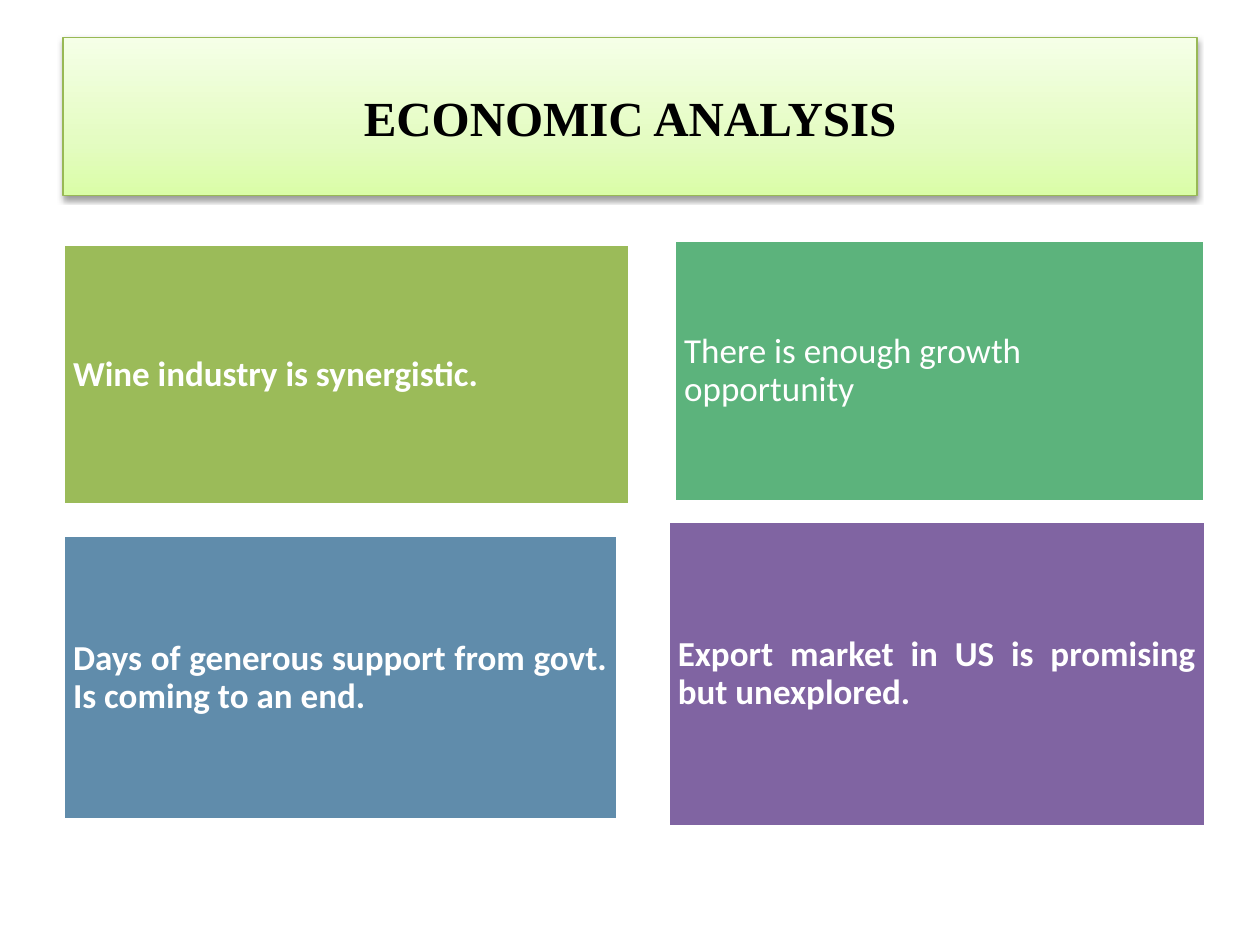
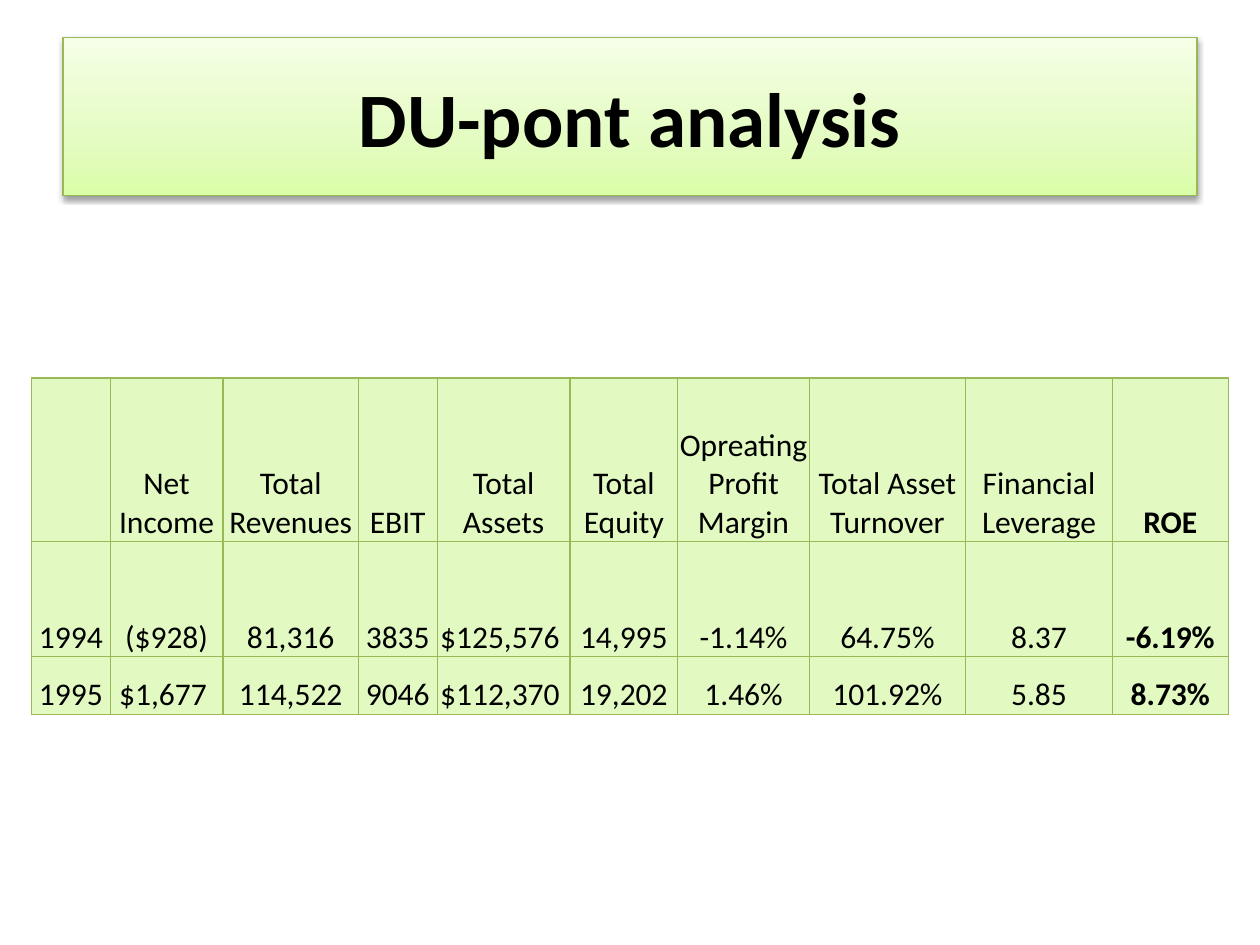
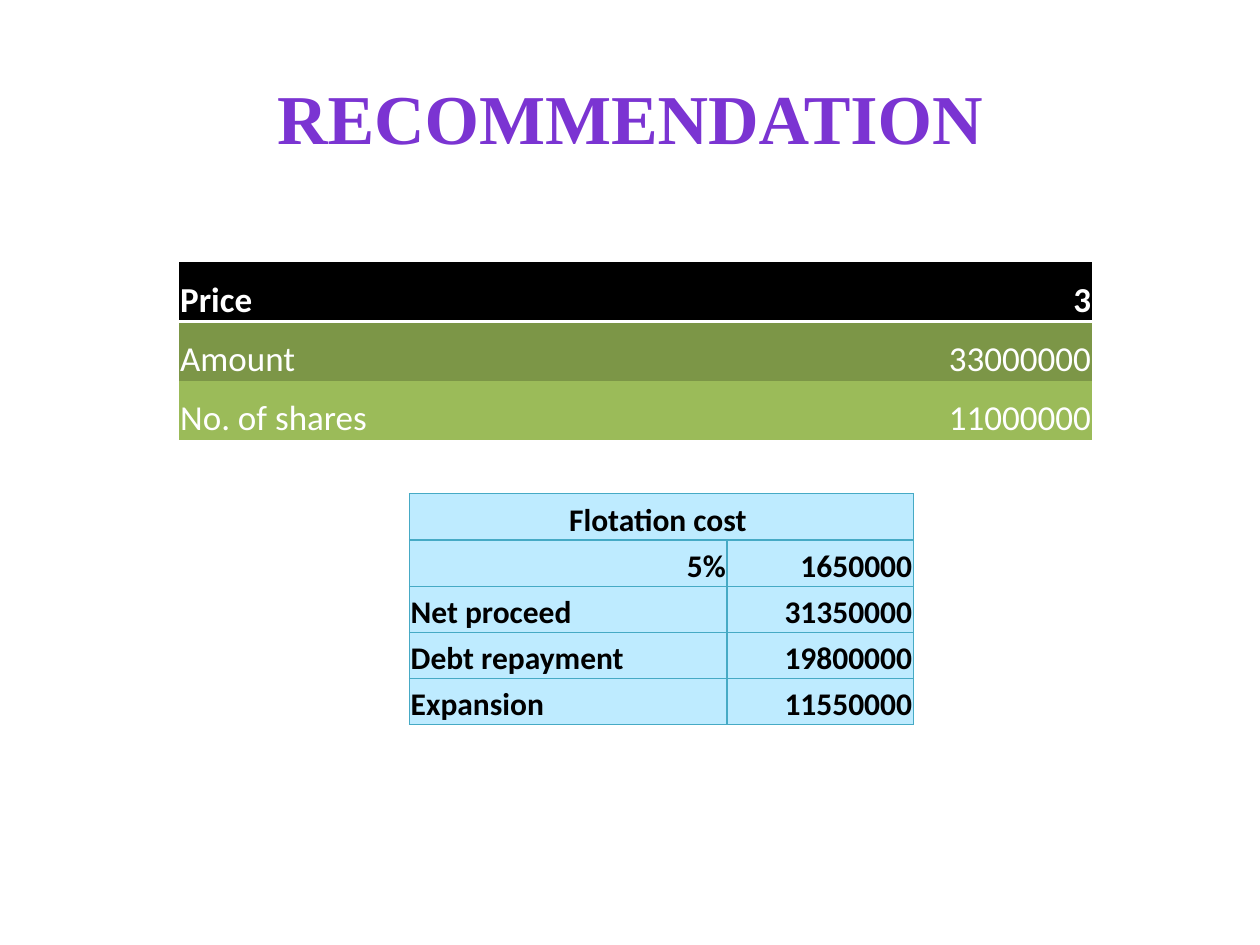
from dataclasses import dataclass
from typing import Any, Optional

from pptx import Presentation
from pptx.dml.color import RGBColor
from pptx.enum.shapes import MSO_SHAPE as Shape
from pptx.enum.text import MSO_ANCHOR as Anchor, MSO_AUTO_SIZE as Auto, PP_ALIGN as Align
from pptx.oxml import parse_xml
from pptx.oxml.ns import nsdecls, qn
from pptx.util import Emu, Inches, Pt

# Colours
BLACK = RGBColor(0x00, 0x00, 0x00)
WHITE = RGBColor(0xFF, 0xFF, 0xFF)
GREEN = RGBColor(0x9B, 0xBB, 0x59)
OLIVE = RGBColor(0x7C, 0x96, 0x47)
MINT = RGBColor(0x5C, 0xB3, 0x7C)
STEEL = RGBColor(0x60, 0x8C, 0xAB)
PLUM = RGBColor(0x80, 0x64, 0xA2)
VIOLET = RGBColor(0x7B, 0x34, 0xD2)
EDGE = RGBColor(0x98, 0xB9, 0x55)
LIME = RGBColor(0xE2, 0xFA, 0xC2)
TEAL = RGBColor(0x46, 0xAA, 0xC5)
SKY = RGBColor(0xBE, 0xEB, 0xFF)
BAND = ((0, "DAFDA7"), (35, "E4FCC2"), (100, "F5FFE7"))

SANS, SERIF = "Calibri", "Times New Roman"
PLAIN = "{2D5ABB26-0587-4C30-8999-92F81FD0307C}"  # table style without fills or lines
NS = nsdecls("a")

# The slide is a grid of 100 columns by 75 rows
WIDE, HIGH = Inches(10), Inches(7.5)
COLS, ROWS = 100, 75


def across(n: float) -> Emu:
    return Emu(round(WIDE * n / COLS))


def down(n: float) -> Emu:
    return Emu(round(HIGH * n / ROWS))


@dataclass
class Box:
    col: float
    row: float
    wide: float
    high: float

    def place(self) -> tuple[Emu, Emu, Emu, Emu]:
        return across(self.col), down(self.row), across(self.wide), down(self.high)


@dataclass
class Panel:
    box: Box
    text: str
    fill: RGBColor
    bold: bool = True
    align: Align = Align.LEFT


@dataclass
class Line:
    color: RGBColor
    width: float
    sides: str


@dataclass
class Look:
    size: int
    color: RGBColor
    fill: RGBColor
    bold: bool = False
    align: Align = Align.LEFT
    line: Optional[Line] = None


HEAD = Box(5, 3, 90, 12.5)


def assign(item: Any, form: dict[str, Any]) -> None:
    for name, value in form.items():
        setattr(item, name, value)


def write(frame: Any, text: str, align: Align, size: int, color: RGBColor,
          bold: bool, face: str = SANS) -> Any:
    para = frame.paragraphs[0]
    para.alignment = align
    run = para.add_run()
    run.text = text
    assign(run.font, {"name": face, "size": Pt(size), "bold": bold})
    run.font.color.rgb = color
    return para


def add_title(deck: Any, text: str, size: int, face: str,
              color: RGBColor = BLACK, band: bool = True) -> Any:
    """Add a slide with its title, on a shaded band if wanted."""
    slide = deck.slides.add_slide(deck.slide_layouts[5])
    title = slide.shapes.title
    assign(title, dict(zip(("left", "top", "width", "height"), HEAD.place())))
    assign(title.text_frame, {"vertical_anchor": Anchor.MIDDLE, "auto_size": Auto.NONE})
    write(title.text_frame, text, Align.CENTER, size, color, True, face)
    if band:
        title.fill.gradient()
        title.fill.gradient_angle = 90
        props = title.element.spPr
        stops = "".join(f'<a:gs pos="{at * 1000}"><a:srgbClr val="{rgb}"/></a:gs>'
                        for at, rgb in BAND)
        old = props.find(".//" + qn("a:gsLst"))
        old.getparent().replace(old, parse_xml(f"<a:gsLst {NS}>{stops}</a:gsLst>"))
        title.line.color.rgb = EDGE
        title.line.width = Pt(0.75)
        props.append(parse_xml(
            f'<a:effectLst {NS}><a:outerShdw blurRad="40000" dist="20000" dir="5400000" '
            'rotWithShape="0"><a:srgbClr val="000000"><a:alpha val="38000"/></a:srgbClr>'
            "</a:outerShdw></a:effectLst>"))
    return slide


def add_panel(slide: Any, panel: Panel) -> None:
    shape = slide.shapes.add_shape(Shape.RECTANGLE, *panel.box.place())
    shape.shadow.inherit = False
    shape.fill.solid()
    shape.fill.fore_color.rgb = panel.fill
    shape.line.color.rgb = WHITE
    shape.line.width = Pt(2)
    frame = shape.text_frame
    edges = ("margin_left", "margin_right", "margin_top", "margin_bottom")
    assign(frame, dict.fromkeys(edges, Inches(0.08)))
    assign(frame, {"word_wrap": True, "vertical_anchor": Anchor.MIDDLE})
    write(frame, panel.text, panel.align, 20, WHITE, panel.bold).line_spacing = 0.9


def add_grid(slide: Any, col: float, row: float, wides: list[float],
             highs: list[float]) -> Any:
    box = Box(col, row, sum(wides), sum(highs))
    frame = slide.shapes.add_table(len(highs), len(wides), *box.place())
    table = frame.table
    assign(table, {"first_row": False, "horz_banding": False})
    frame.element.find(".//" + qn("a:tableStyleId")).text = PLAIN
    for part, wide in zip(table.columns, wides):
        part.width = across(wide)
    for part, high in zip(table.rows, highs):
        part.height = down(high)
    return table


def fill_cell(cell: Any, text: str, look: Look) -> None:
    tight = Inches(0.01)
    assign(cell, {"margin_left": tight, "margin_right": tight, "margin_top": tight,
                  "margin_bottom": 0, "vertical_anchor": Anchor.BOTTOM})
    if look.line:
        props = cell._tc.get_or_add_tcPr()
        for side in look.line.sides:
            props.append(parse_xml(
                f'<a:ln{side} {NS} w="{Pt(look.line.width)}"><a:solidFill>'
                f'<a:srgbClr val="{look.line.color}"/></a:solidFill></a:ln{side}>'))
    cell.fill.solid()
    cell.fill.fore_color.rgb = look.fill
    if text:
        write(cell.text_frame, text, look.align, look.size, look.color, look.bold)


# Slide 1: four panels
PANELS = [
    Panel(Box(5, 19.4, 45, 20.7), "Wine industry is synergistic.", GREEN),
    Panel(Box(53.5, 19.1, 42.1, 20.7), "There is enough growth opportunity", MINT, bold=False),
    Panel(Box(5, 42.5, 44, 22.6),
          "Days of generous support from govt. Is coming to an end.", STEEL,
          align=Align.JUSTIFY),
    Panel(Box(53, 41.4, 42.7, 24.2),
          "Export market in US is promising but unexplored. ", PLUM, align=Align.JUSTIFY),
]

# Slide 2: ratios by year
RATIOS = [
    ["", "Net Income", "Total Revenues", "EBIT", "Total Assets", "Total Equity",
     "Opreating Profit Margin", "Total Asset Turnover", "Financial Leverage", "ROE"],
    ["1994", "($928)", "81,316", "3835", "$125,576 ", "14,995",
     "-1.14%", "64.75%", "8.37", "-6.19%"],
    ["1995", "$1,677 ", "114,522", "9046", "$112,370 ", "19,202",
     "1.46%", "101.92%", "5.85", "8.73%"],
]
RATIO_COLS = [6.25, 8.95, 10.75, 6.25, 10.55, 8.55, 10.45, 12.4, 11.65, 9.2]

# Slide 3: share issue and its costs
ISSUE = [("Price", "3", BLACK), ("Amount", "33000000", OLIVE),
         ("No. of shares", "11000000", GREEN)]
COSTS = [("Flotation cost ", ""), ("5%", "1650000"), ("Net proceed", "31350000"),
         ("Debt repayment", "19800000"), ("Expansion", "11550000")]


def economy(deck: Any) -> None:
    slide = add_title(deck, "ECONOMIC ANALYSIS", 28, SERIF)
    for panel in PANELS:
        add_panel(slide, panel)


def ratios(deck: Any) -> None:
    slide = add_title(deck, "DU-pont analysis", 44, SANS)
    table = add_grid(slide, 2.5, 30, RATIO_COLS, [13, 9.1, 4.6])
    line = Line(EDGE, 0.75, "LRTB")
    for r, texts in enumerate(RATIOS):
        for c, text in enumerate(texts):
            last = c == len(texts) - 1
            fill_cell(table.cell(r, c), text, Look(18, BLACK, LIME, last, Align.CENTER, line))


def advice(deck: Any) -> None:
    slide = add_title(deck, "RECOMMENDATION", 40, SERIF, VIOLET, band=False)
    sides = (Align.LEFT, Align.RIGHT)

    table = add_grid(slide, 14.2, 20.8, [36.25] * 2, [4.72] * 3)
    for r, (*texts, fill) in enumerate(ISSUE):
        line = Line(WHITE, 2, "B") if r == 0 else None
        for c, text in enumerate(texts):
            fill_cell(table.cell(r, c), text, Look(20, WHITE, fill, r == 0, sides[c], line))

    table = add_grid(slide, 32.5, 39.2, [25.2, 14.8], [3.66] * 5)
    table.cell(0, 0).merge(table.cell(0, 1))
    line = Line(TEAL, 0.75, "LRTB")
    special = {(0, 0): Align.CENTER, (1, 0): Align.RIGHT}
    for r, texts in enumerate(COSTS):
        for c, text in enumerate(texts):
            align = special.get((r, c), sides[c])
            fill_cell(table.cell(r, c), text, Look(18, BLACK, SKY, True, align, line))


def main() -> None:
    deck = Presentation()
    assign(deck, {"slide_width": WIDE, "slide_height": HIGH})
    for build in (economy, ratios, advice):
        build(deck)
    deck.save("out.pptx")


if __name__ == "__main__":
    main()
